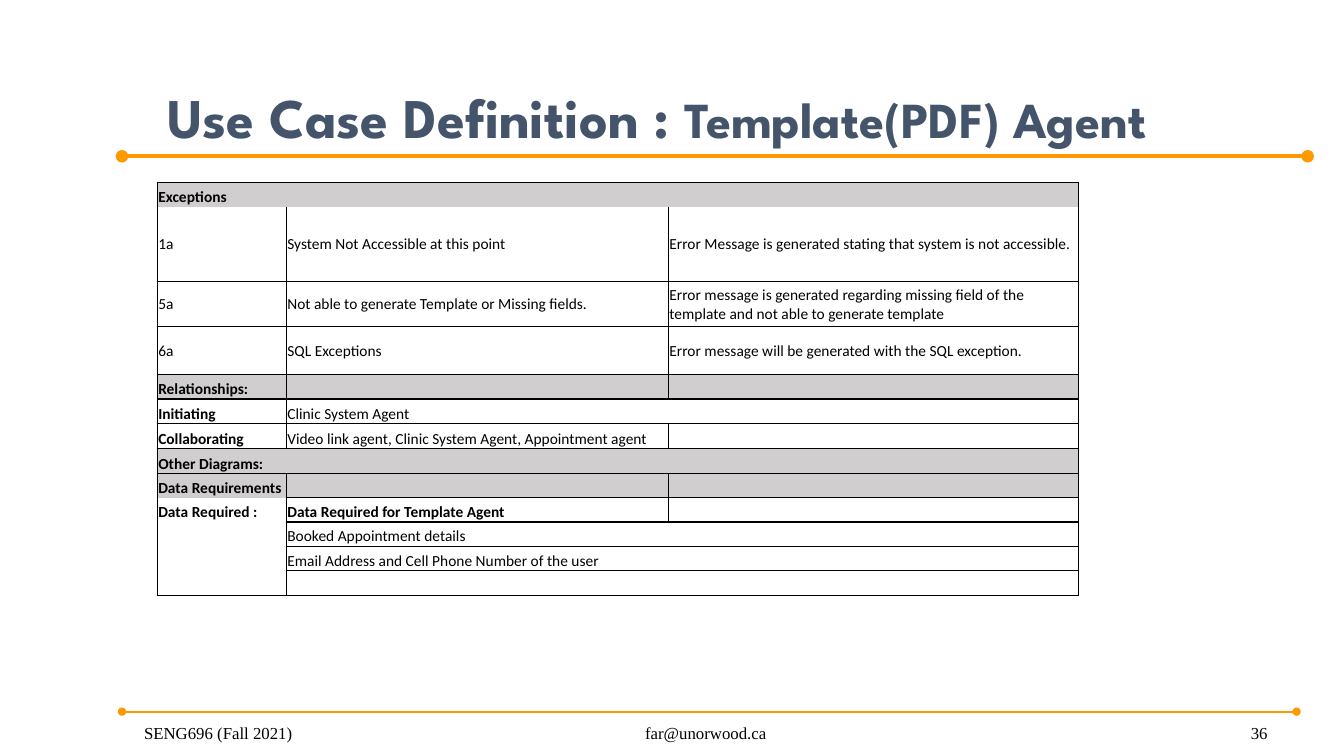
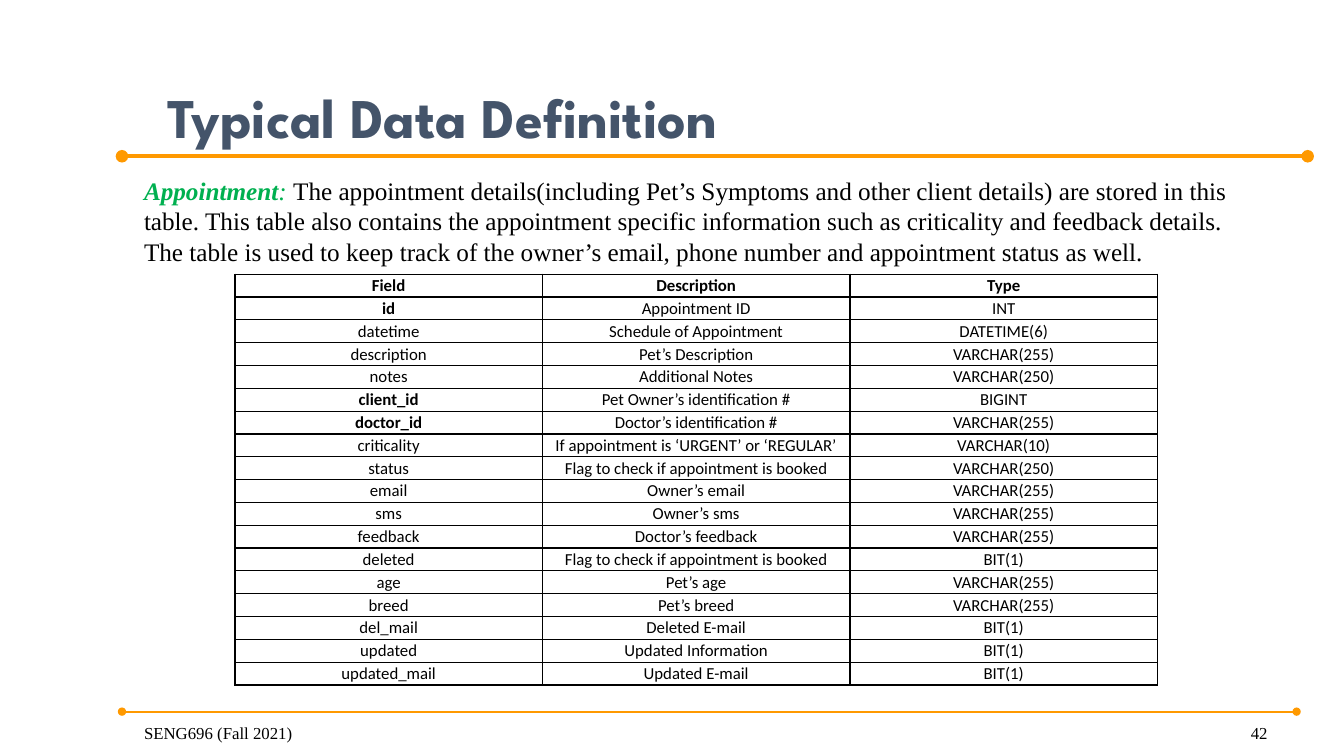
from lxml import etree
from pptx import Presentation
from pptx.dml.color import RGBColor
from pptx.enum.shapes import MSO_CONNECTOR
from pptx.enum.text import MSO_ANCHOR as Anchor, PP_ALIGN as Align
from pptx.oxml.ns import qn
from pptx.util import Inches, Pt

COLORS = {
    "title": "44546A",
    "rule": "FF9900",
    "text": "000000",
    "term": "00B050",
    "shade": "D0CECE",
}
TITLE_FONT, BODY_FONT, TABLE_FONT = "League Spartan", "Times New Roman", "Calibri"

RULES = [(12.97, 1.55, 3), (12.86, 7.06, 1.5)]
RULE_LEFT = 1.21
TITLE_BOX = (1.56, 0.28, 11.49, 1.25)
FOOTER_TOP, FOOTER_HEIGHT = 6.98, 0.44
FOOTERS = {
    "course": (1.33, 2.78, Align.LEFT),
    "contact": (4.89, 4.22, Align.CENTER),
    "number": (9.89, 2.78, Align.RIGHT),
}
COURSE = "SENG696 (Fall 2021)"

USE_CASE_TITLE = [("Use Case Definition : ", 40), ("Template(PDF) Agent", 36)]
USE_CASE_ROWS = [
    (0.24, "Exceptions", None, None),
    (0.74, "1a", "System Not Accessible at this point",
     "Error Message is generated stating that system is not accessible."),
    (0.45, "5a", "Not able to generate Template or Missing fields.",
     "Error message is generated regarding missing field of the template "
     "and not able to generate template"),
    (0.48, "6a", "SQL Exceptions", "Error message will be generated with the SQL exception."),
    (0.24, "Relationships:", "", ""),
    (0.24, "Initiating", "Clinic System Agent", None),
    (0.25, "Collaborating", "Video link agent, Clinic System Agent, Appointment agent", ""),
    (0.25, "Other Diagrams:", None, None),
    (0.24, "Data Requirements", "", ""),
    (0.24, "Data Required :", "Data Required for Template Agent", ""),
    (0.24, "", "Booked Appointment details", None),
    (0.24, "", "Email Address and Cell Phone Number of the user", None),
    (0.25, "", "", None),
]
USE_CASE_BOLD = {
    "Exceptions", "Relationships:", "Initiating", "Collaborating", "Other Diagrams:",
    "Data Requirements", "Data Required :", "Data Required for Template Agent",
}
USE_CASE_SHADED = {0, 4, 7, 8}
USE_CASE_MIDDLE = {1, 2, 3}
USE_CASE_OPEN_BELOW = {(0, 0), (0, 1), (0, 2), (8, 0), (9, 0), (10, 0), (11, 0)}

DATA_TITLE = [("Typical Data Definition", 40)]
DATA_INTRO = [
    ("Appointment", "term", True, True),
    (": ", "term", False, True),
    ("The appointment details(including Pet’s Symptoms and other client details) are stored "
     "in this table. This table also contains the appointment specific information such as "
     "criticality and feedback details. The table is used to keep track of the owner’s email, "
     "phone number and appointment status as well.", "text", False, False),
]
DATA_ROWS = [
    ("Field", "Description", "Type"),
    ("id", "Appointment ID", "INT"),
    ("datetime", "Schedule of Appointment", "DATETIME(6)"),
    ("description", "Pet’s Description", "VARCHAR(255)"),
    ("notes", "Additional Notes", "VARCHAR(250)"),
    ("client_id", "Pet Owner’s identification #", "BIGINT"),
    ("doctor_id", "Doctor’s identification #", "VARCHAR(255)"),
    ("criticality", "If appointment is ‘URGENT’ or ‘REGULAR’", "VARCHAR(10)"),
    ("status", "Flag to check if appointment is booked", "VARCHAR(250)"),
    ("email", "Owner’s email", "VARCHAR(255)"),
    ("sms", "Owner’s sms", "VARCHAR(255)"),
    ("feedback", "Doctor’s feedback", "VARCHAR(255)"),
    ("deleted", "Flag to check if appointment is booked", "BIT(1)"),
    ("age", "Pet’s age", "VARCHAR(255)"),
    ("breed", "Pet’s breed", "VARCHAR(255)"),
    ("del_mail", "Deleted E-mail", "BIT(1)"),
    ("updated", "Updated Information", "BIT(1)"),
    ("updated_mail", "Updated E-mail", "BIT(1)"),
]
DATA_BOLD = {*DATA_ROWS[0], "id", "client_id", "doctor_id"}
DATA_HEIGHT = 4.08


def rgb(name):
    return RGBColor.from_string(COLORS[name])


def style(span, font, size, color="text", bold=False, italic=False):
    span.font.name = font
    span.font.size = Pt(size)
    span.font.color.rgb = rgb(color)
    span.font.bold = bold
    span.font.italic = italic


def add_text(page, rect, spans, anchor, align=Align.LEFT):
    box = page.shapes.add_textbox(*map(Inches, rect))
    frame = box.text_frame
    frame.word_wrap = True
    frame.vertical_anchor = anchor
    para = frame.paragraphs[0]
    para.alignment = align
    for text, *look in spans:
        span = para.add_run()
        span.text = text
        style(span, *look)


def add_rule(page, right, top, width):
    rule = page.shapes.add_connector(
        MSO_CONNECTOR.STRAIGHT, *map(Inches, (RULE_LEFT, top, right, top)))
    rule.line.color.rgb = rgb("rule")
    rule.line.width = Pt(width)
    properties = rule._element.spPr
    line = properties.find(qn("a:ln"))
    for end in ("a:headEnd", "a:tailEnd"):
        etree.SubElement(line, qn(end), type="oval")
    etree.SubElement(properties, qn("a:effectLst"))


def add_page(deck, title, footers):
    page = deck.slides.add_slide(deck.slide_layouts[6])
    for rule in RULES:
        add_rule(page, *rule)
    spans = [(text, TITLE_FONT, size, "title", True) for text, size in title]
    add_text(page, TITLE_BOX, spans, Anchor.BOTTOM)
    for place, text in footers.items():
        left, width, align = FOOTERS[place]
        add_text(page, (left, FOOTER_TOP, width, FOOTER_HEIGHT),
                 [(text, BODY_FONT, 12)], Anchor.BOTTOM, align)
    return page


def set_borders(cell, hidden):
    properties = cell._tc.get_or_add_tcPr()
    for side in "LRTB":
        line = etree.SubElement(properties, qn(f"a:ln{side}"), w=str(Pt(1)))
        if side in hidden:
            etree.SubElement(line, qn("a:noFill"))
        else:
            fill = etree.SubElement(line, qn("a:solidFill"))
            etree.SubElement(fill, qn("a:srgbClr"), val=COLORS["text"])


def add_grid(page, corner, widths, heights, rows, size, bold, insets, open_below=()):
    area = (*corner, sum(widths), sum(heights))
    table = page.shapes.add_table(len(rows), len(widths), *map(Inches, area)).table
    table.first_row = table.horz_banding = False
    for column, width in zip(table.columns, widths):
        column.width = Inches(width)
    for r, (height, texts) in enumerate(zip(heights, rows)):
        table.rows[r].height = Inches(height)
        if None in texts:
            table.cell(r, texts.index(None) - 1).merge(table.cell(r, len(texts) - 1))
        for c, text in enumerate(texts):
            cell = table.cell(r, c)
            cell.margin_left, cell.margin_top, cell.margin_right, cell.margin_bottom = map(
                Inches, insets)
            hidden = "B" * ((r, c) in open_below) + "T" * ((r - 1, c) in open_below)
            set_borders(cell, hidden)
            cell.fill.background()
            para = cell.text_frame.paragraphs[0]
            if text:
                para.text = text
                style(para.runs[0], TABLE_FONT, size, bold=text in bold)
            else:
                etree.SubElement(para._p, qn("a:endParaRPr"), sz=str(size * 100))
    return table


def add_use_case(deck):
    page = add_page(deck, USE_CASE_TITLE,
                    {"course": COURSE, "contact": "far@unorwood.ca", "number": "36"})
    heights = [row[0] for row in USE_CASE_ROWS]
    rows = [row[1:] for row in USE_CASE_ROWS]
    table = add_grid(page, (1.56, 1.81), (1.28, 3.79, 4.07), heights, rows, 11,
                     USE_CASE_BOLD, (0.01, 0.01, 0.01, 0), USE_CASE_OPEN_BELOW)
    for r, row in enumerate(table.rows):
        for cell in row.cells:
            cell.vertical_anchor = Anchor.MIDDLE if r in USE_CASE_MIDDLE else Anchor.BOTTOM
            if r in USE_CASE_SHADED:
                cell.fill.solid()
                cell.fill.fore_color.rgb = rgb("shade")


def add_data_definition(deck):
    page = add_page(deck, DATA_TITLE, {"course": COURSE, "number": "42"})
    intro = [(text, BODY_FONT, 18, *look) for text, *look in DATA_INTRO]
    add_text(page, (1.33, 1.69, 11.02, 1.01), intro, Anchor.TOP)
    heights = [DATA_HEIGHT / len(DATA_ROWS)] * len(DATA_ROWS)
    table = add_grid(page, (2.33, 2.72), (3.05,) * 3, heights, DATA_ROWS, 12,
                     DATA_BOLD, (0.07, 0, 0.07, 0))
    for cell in table.iter_cells():
        para = cell.text_frame.paragraphs[0]
        para.alignment = Align.CENTER
        para.line_spacing = 1.07
        para.space_after = Pt(8)


def main():
    deck = Presentation()
    deck.slide_width, deck.slide_height = Inches(13.33), Inches(7.5)
    add_use_case(deck)
    add_data_definition(deck)
    deck.save("out.pptx")


if __name__ == "__main__":
    main()
